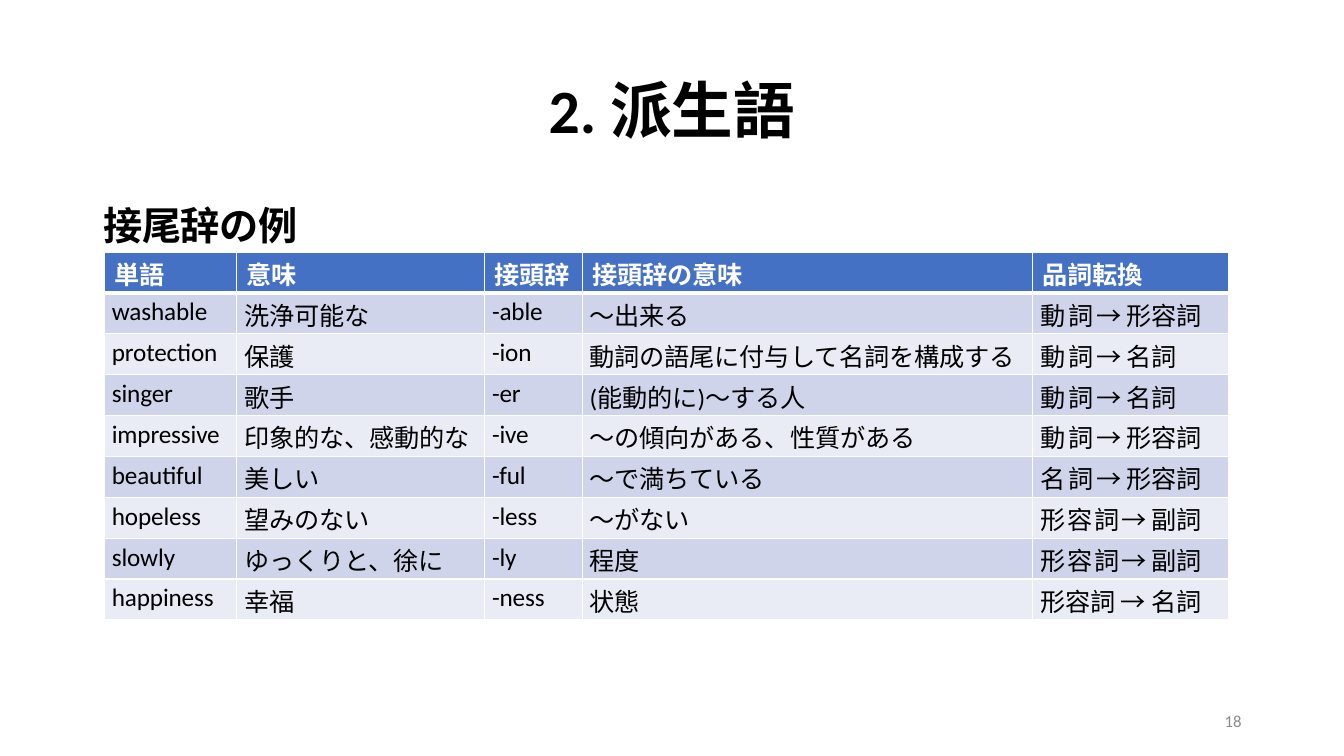
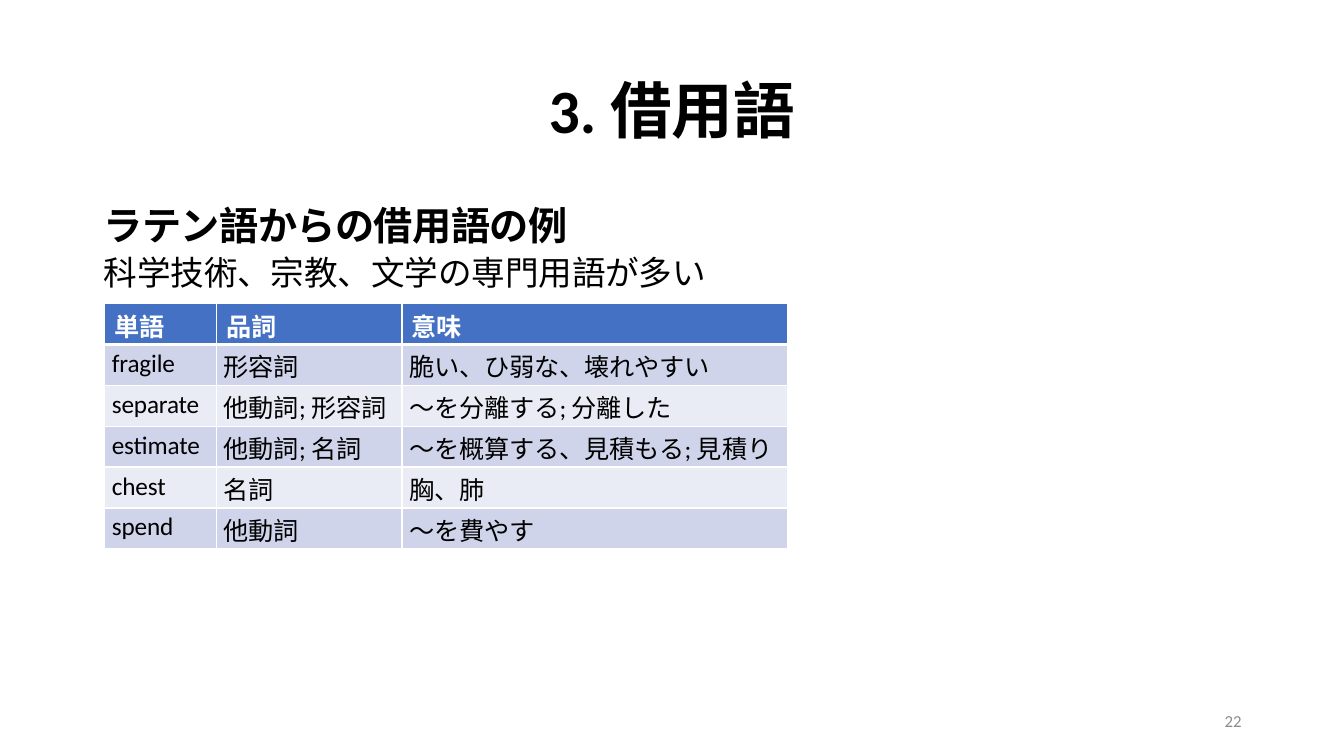
from lxml.etree import SubElement
from pptx import Presentation
from pptx.dml.color import RGBColor
from pptx.enum.text import MSO_ANCHOR, MSO_AUTO_SIZE, PP_ALIGN
from pptx.oxml import parse_xml
from pptx.oxml.ns import nsdecls, qn
from pptx.util import Cm, Pt

BLACK = RGBColor(0x00, 0x00, 0x00)
WHITE = RGBColor(0xFF, 0xFF, 0xFF)
GRAY = RGBColor(0x8C, 0x8C, 0x8C)
HEADER_BLUE = RGBColor(0x44, 0x71, 0xC4)
BAND_COLORS = [RGBColor(0xE9, 0xEB, 0xF5), RGBColor(0xCF, 0xD4, 0xEA)]
LATIN_FONT = "Calibri"
JAPANESE_FONT = "Noto Sans CJK JP"
ROW_HEIGHT = Cm(1.03)
TABLE_LEFT = Cm(2.64)

SLIDES = [
    {
        "title": "2. 派生語",
        "number": "18",
        "lines": ["接尾辞の例"],
        "table_top": 6.35,
        "widths": [3.33, 6.25, 2.46, 11.35, 4.93],
        "rows": [
            ["単語", "意味", "接頭辞", "接頭辞の意味", "品詞転換"],
            ["washable", "洗浄可能な", "-able", "～出来る", "動詞→ 形容詞"],
            ["protection", "保護", "-ion", "動詞の語尾に付与して名詞を構成する", "動詞→ 名詞"],
            ["singer", "歌手", "-er", "(能動的に)～する人", "動詞→ 名詞"],
            ["impressive", "印象的な、感動的な", "-ive", "～の傾向がある、性質がある", "動詞→ 形容詞"],
            ["beautiful", "美しい", "-ful", "～で満ちている", "名詞→ 形容詞"],
            ["hopeless", "望みのない", "-less", "～がない", "形容詞→ 副詞"],
            ["slowly", "ゆっくりと、徐に", "-ly", "程度", "形容詞→ 副詞"],
            ["happiness", "幸福", "-ness", "状態", "形容詞 → 名詞"],
        ],
    },
    {
        "title": "3. 借用語",
        "number": "22",
        "lines": ["ラテン語からの借用語の例", "科学技術、宗教、文学の専門用語が多い"],
        "table_top": 7.65,
        "widths": [2.82, 4.67, 9.73],
        "rows": [
            ["単語", "品詞", "意味"],
            ["fragile", "形容詞", "脆い、ひ弱な、壊れやすい"],
            ["separate", "他動詞; 形容詞", "～を分離する; 分離した"],
            ["estimate", "他動詞; 名詞", "～を概算する、見積もる; 見積り"],
            ["chest", "名詞", "胸、肺"],
            ["spend", "他動詞", "～を費やす"],
        ],
    },
]


def write_text(paragraph, text, *, size=18, color=BLACK, bold=False, spacing=0):
    """Append a run; spacing is the letter spacing in points."""
    run = paragraph.add_run()
    run.text = text
    font = run.font
    font.size = Pt(size)
    font.bold = bold
    font.color.rgb = color
    font.name = LATIN_FONT
    properties = run._r.get_or_add_rPr()
    properties.set("spc", str(round(spacing * 100)))
    SubElement(properties, qn("a:ea")).set("typeface", JAPANESE_FONT)


def add_borders(cell, top, bottom):
    """Draw white cell borders; top and bottom are widths in points."""
    properties = cell._tc.get_or_add_tcPr()
    sides = [("L", 1), ("R", 1), ("T", top), ("B", bottom)]
    for position, (side, width) in enumerate(sides):
        properties.insert(position, parse_xml(
            f'<a:ln{side} {nsdecls("a")} w="{Pt(width)}"><a:solidFill>'
            f'<a:srgbClr val="{WHITE}"/></a:solidFill></a:ln{side}>'))


presentation = Presentation()
presentation.slide_width = Cm(33.87)
presentation.slide_height = Cm(19.05)

layout = presentation.slide_layouts.get_by_name("Title and Content")
title_area, body_area = layout.placeholders[0], layout.placeholders[1]
for area, top, height in [(title_area, 1.01, 3.68), (body_area, 5.08, 12.08)]:
    area.left, area.top = Cm(2.33), Cm(top)
    area.width, area.height = Cm(29.21), Cm(height)

for content in SLIDES:
    slide = presentation.slides.add_slide(layout)

    title = slide.shapes.title.text_frame
    title.vertical_anchor = MSO_ANCHOR.MIDDLE
    title.paragraphs[0].alignment = PP_ALIGN.CENTER
    title.paragraphs[0].line_spacing = 0.9
    write_text(title.paragraphs[0], content["title"], size=44, bold=True)

    number = slide.shapes.add_textbox(Cm(23.92), Cm(17.65), Cm(7.62), Cm(1.02)).text_frame
    number.word_wrap = True
    number.vertical_anchor = MSO_ANCHOR.MIDDLE
    number.paragraphs[0].alignment = PP_ALIGN.RIGHT
    write_text(number.paragraphs[0], content["number"], size=12, color=GRAY)

    body = slide.placeholders[1].text_frame
    body.auto_size = MSO_AUTO_SIZE.NONE
    for index, line in enumerate(content["lines"]):
        heading = index == 0
        paragraph = body.paragraphs[0] if heading else body.add_paragraph()
        properties = paragraph._p.get_or_add_pPr()
        properties.set("marL", str(Cm(0.03)))
        properties.set("indent", "0")
        SubElement(properties, qn("a:buNone"))
        paragraph.line_spacing = 0.9
        paragraph.space_before = Pt(0 if heading else 5)
        write_text(paragraph, line, size=28 if heading else 24, bold=heading,
                   spacing=-0.4 if heading else -0.1)

    rows, widths = content["rows"], content["widths"]
    table = slide.shapes.add_table(
        len(rows), len(widths), TABLE_LEFT, Cm(content["table_top"]),
        Cm(sum(widths)), ROW_HEIGHT * len(rows)).table
    table.horz_banding = False
    for column, width in zip(table.columns, widths):
        column.width = Cm(width)
    for row_index, row in enumerate(rows):
        table.rows[row_index].height = ROW_HEIGHT
        header = row_index == 0
        for column_index, text in enumerate(row):
            cell = table.cell(row_index, column_index)
            cell.margin_left = Cm(0.25 if header else 0.18)
            cell.margin_top = Cm(0.1 if text.isascii() else 0.08)
            cell.margin_right = cell.margin_bottom = 0
            cell.fill.solid()
            cell.fill.fore_color.rgb = HEADER_BLUE if header else BAND_COLORS[row_index % 2]
            add_borders(cell, top=3 if row_index == 1 else 1, bottom=3 if header else 1)

            paragraph = cell.text_frame.paragraphs[0]
            source, arrow, target = text.partition("→")
            if arrow and not source.endswith(" "):
                write_text(paragraph, source, spacing=2 if len(source) == 2 else 1.3)
                text = arrow + target
            write_text(paragraph, text, color=WHITE if header else BLACK,
                       bold=header, spacing=-0.1)

presentation.save("out.pptx")
